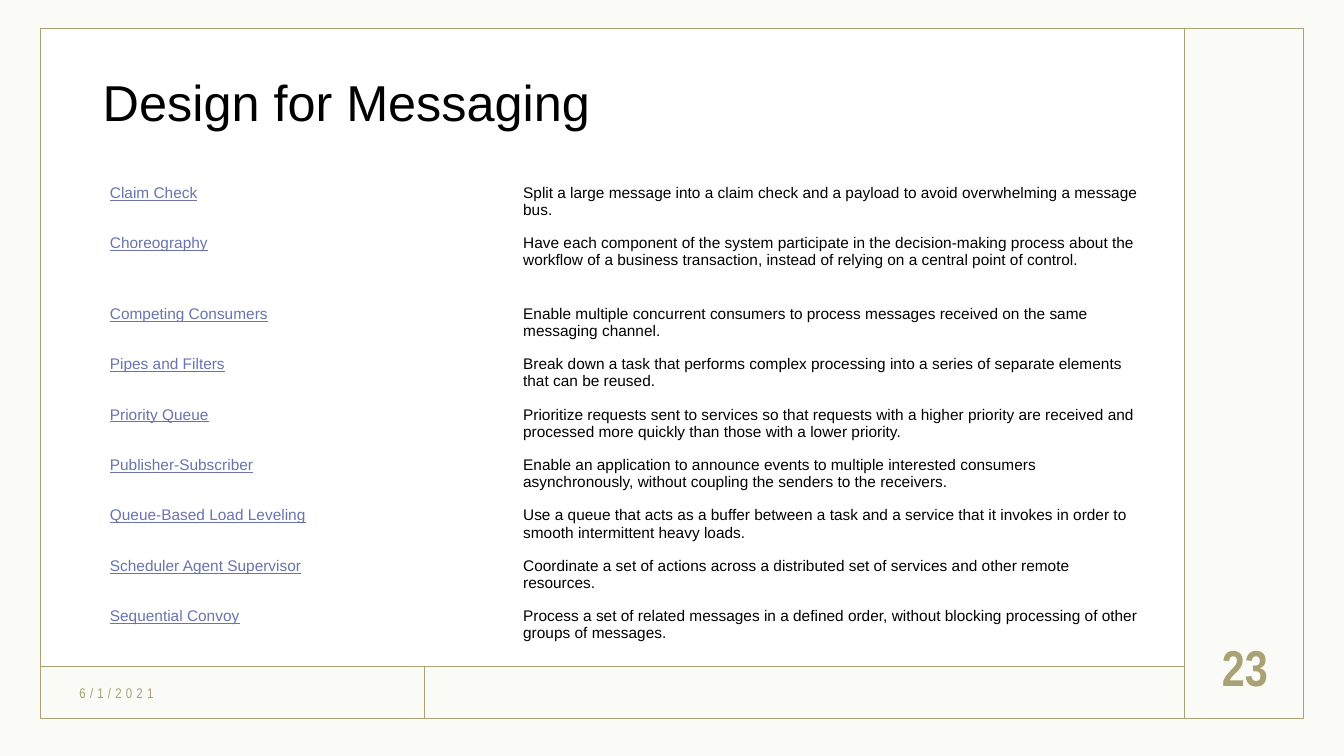
from pptx import Presentation
from pptx.dml.color import RGBColor
from pptx.enum.shapes import MSO_CONNECTOR as Conn, MSO_SHAPE as Shape
from pptx.enum.text import MSO_ANCHOR as Anchor, PP_ALIGN as Align
from pptx.oxml import parse_xml
from pptx.oxml.ns import nsdecls
from pptx.util import Pt

TITLE = "Design for Messaging"
DATE = "6/1/2021"
NUMBER = "23"
PATTERNS = [
    ("Claim Check", "Split a large message into a claim check and a payload "
     "to avoid overwhelming a message bus."),
    ("Choreography", "Have each component of the system participate in the "
     "decision-making process about the workflow of a business transaction, "
     "instead of relying on a central point of control."),
    ("Competing Consumers", "Enable multiple concurrent consumers to process "
     "messages received on the same messaging channel."),
    ("Pipes and Filters", "Break down a task that performs complex processing "
     "into a series of separate elements that can be reused."),
    ("Priority Queue", "Prioritize requests sent to services so that requests "
     "with a higher priority are received and processed more quickly than "
     "those with a lower priority."),
    ("Publisher-Subscriber", "Enable an application to announce events to "
     "multiple interested consumers asynchronously, without coupling the "
     "senders to the receivers."),
    ("Queue-Based Load Leveling", "Use a queue that acts as a buffer between a "
     "task and a service that it invokes in order to smooth intermittent "
     "heavy loads."),
    ("Scheduler Agent Supervisor", "Coordinate a set of actions across a "
     "distributed set of services and other remote resources."),
    ("Sequential Convoy", "Process a set of related messages in a defined "
     "order, without blocking processing of other groups of messages."),
]

WHITE = RGBColor(0xFF, 0xFF, 0xFF)
BLACK = RGBColor(0, 0, 0)
KHAKI = RGBColor(0xA9, 0xA2, 0x74)
LINK = RGBColor(0x69, 0x73, 0xAE)

WIDE, HIGH = 960, 540
LEFT, TOP, RIGHT, BOTTOM = 28.8, 20.2, 931, 513.4
SIDE, FOOT, SPLIT = 846, 476, 303.1
COLS = (295.2, 449.3)
ROW, TALL = 36, 50.4


def box(area, fill=None, line=None):
    """Add a plain rectangle with an optional fill and outline."""
    rect = slide.shapes.add_shape(Shape.RECTANGLE, *map(Pt, area))
    rect.shadow.inherit = False
    if fill is None:
        rect.fill.background()
    else:
        rect.fill.solid()
        rect.fill.fore_color.rgb = fill
    if line is None:
        rect.line.fill.background()
    else:
        rect.line.color.rgb = line
        rect.line.width = Pt(1)
    return rect


def rule(*ends):
    """Add a straight frame line between two points."""
    line = slide.shapes.add_connector(Conn.STRAIGHT, *map(Pt, ends))
    line.line.color.rgb = KHAKI
    line.line.width = Pt(1)
    line.element.spPr.append(parse_xml(f"<a:effectLst {nsdecls('a')}/>"))


def write(frame, text, face, size, color):
    """Fill a text frame with one styled paragraph and return its run."""
    frame.text = text
    run = frame.paragraphs[0].runs[0]
    run.font.name, run.font.size = face, Pt(size)
    run.font.color.rgb = color
    return run


def label(area, text, size):
    """Add a narrow khaki label centred in height; return its run and paragraph."""
    frame = slide.shapes.add_textbox(*map(Pt, area)).text_frame
    frame.word_wrap = True
    frame.vertical_anchor = Anchor.MIDDLE
    run = write(frame, text, "Arial Narrow", size, KHAKI)
    para = frame.paragraphs[0]
    para.space_after = Pt(6)
    return run, para


def edge(cell):
    """Give a cell thin white borders."""
    props = cell._tc.get_or_add_tcPr()
    for at, side in enumerate("LRTB"):
        props.insert(at, parse_xml(
            f'<a:ln{side} {nsdecls("a")} w="{Pt(0.75)}"><a:solidFill>'
            f'<a:srgbClr val="{WHITE}"/></a:solidFill></a:ln{side}>'))


deck = Presentation()
deck.slide_width, deck.slide_height = Pt(WIDE), Pt(HIGH)
slide = deck.slides.add_slide(deck.slide_layouts[5])

# Backdrop
box((0, 0, WIDE, HIGH), WHITE)
tint = box((0, 0, WIDE, HIGH), KHAKI)
tone = tint.element.spPr.find(".//{*}solidFill/{*}srgbClr")
tone.append(parse_xml(f'<a:alpha {nsdecls("a")} val="5000"/>'))
box((31, 21.6, SIDE - 31, FOOT - 21.6), WHITE)

# Title, raised above the backdrop
title = slide.shapes.title
slide.shapes.element.append(title.element)
title.left, title.top, title.width, title.height = map(Pt, (66.2, 55.4, 739.4, 74.2))
frame = title.text_frame
frame.word_wrap = True
frame.vertical_anchor = Anchor.TOP
frame.margin_top = 0
write(frame, TITLE, "Arial", 36, BLACK)
frame.paragraphs[0].alignment = Align.LEFT
frame.paragraphs[0].line_spacing = 0.9

# Date and slide number
run, para = label((49.7, 483.8, 248.4, 22.3), DATE, 10)
run._r.get_or_add_rPr().set("spc", "300")
run, para = label((851.8, 446.4, 74.9, 59.8), NUMBER, 36)
run.font.bold = True
para.alignment = Align.CENTER

# Frame
box((LEFT, TOP, RIGHT - LEFT, BOTTOM - TOP), line=KHAKI)
rule(SIDE, TOP, SIDE, BOTTOM)
rule(LEFT, FOOT, SIDE, FOOT)
rule(SPLIT, FOOT, SPLIT, BOTTOM)

# Pattern table
heights = [TALL if name == "Choreography" else ROW for name, _ in PATTERNS]
table = slide.shapes.add_table(
    len(PATTERNS), len(COLS), Pt(74.2), Pt(129.6),
    Pt(sum(COLS)), Pt(sum(heights))).table
table.first_row = table.horz_banding = False
for col, width in zip(table.columns, COLS):
    col.width = Pt(width)
for row, height, texts in zip(table.rows, heights, PATTERNS):
    row.height = Pt(height)
    for cell, text, color in zip(row.cells, texts, (LINK, BLACK)):
        cell.fill.background()
        cell.margin_left = cell.margin_right = Pt(4.3)
        cell.margin_top = cell.margin_bottom = Pt(2.2)
        run = write(cell.text_frame, text, "Arial", 11, color)
        run.font.underline = color == LINK
        edge(cell)

deck.save("out.pptx")
